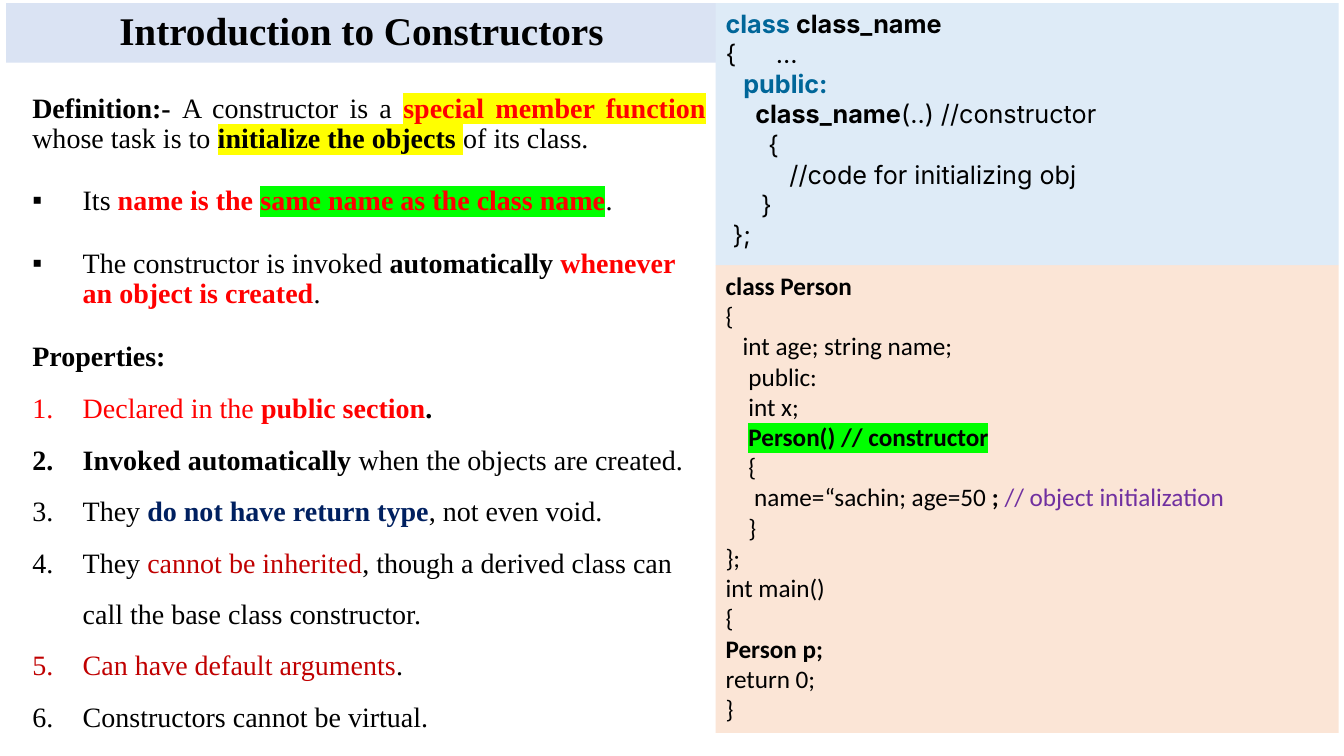
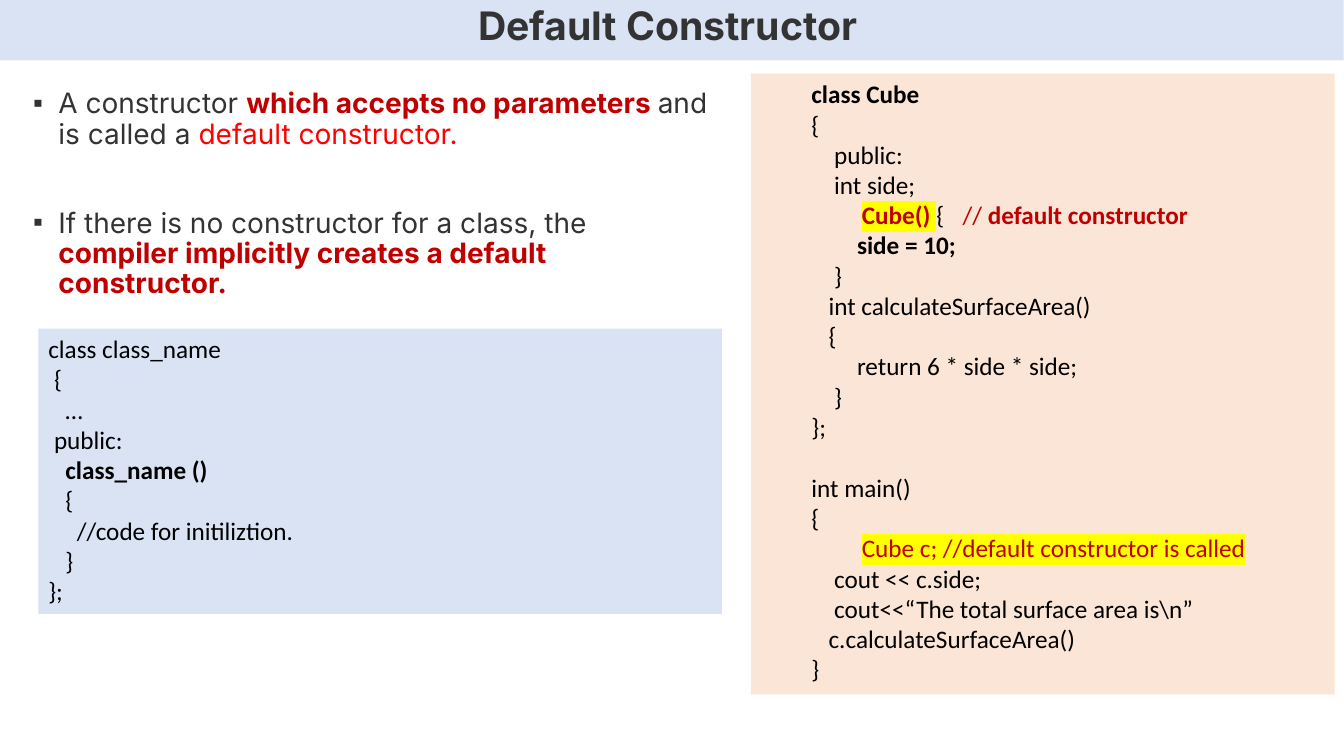
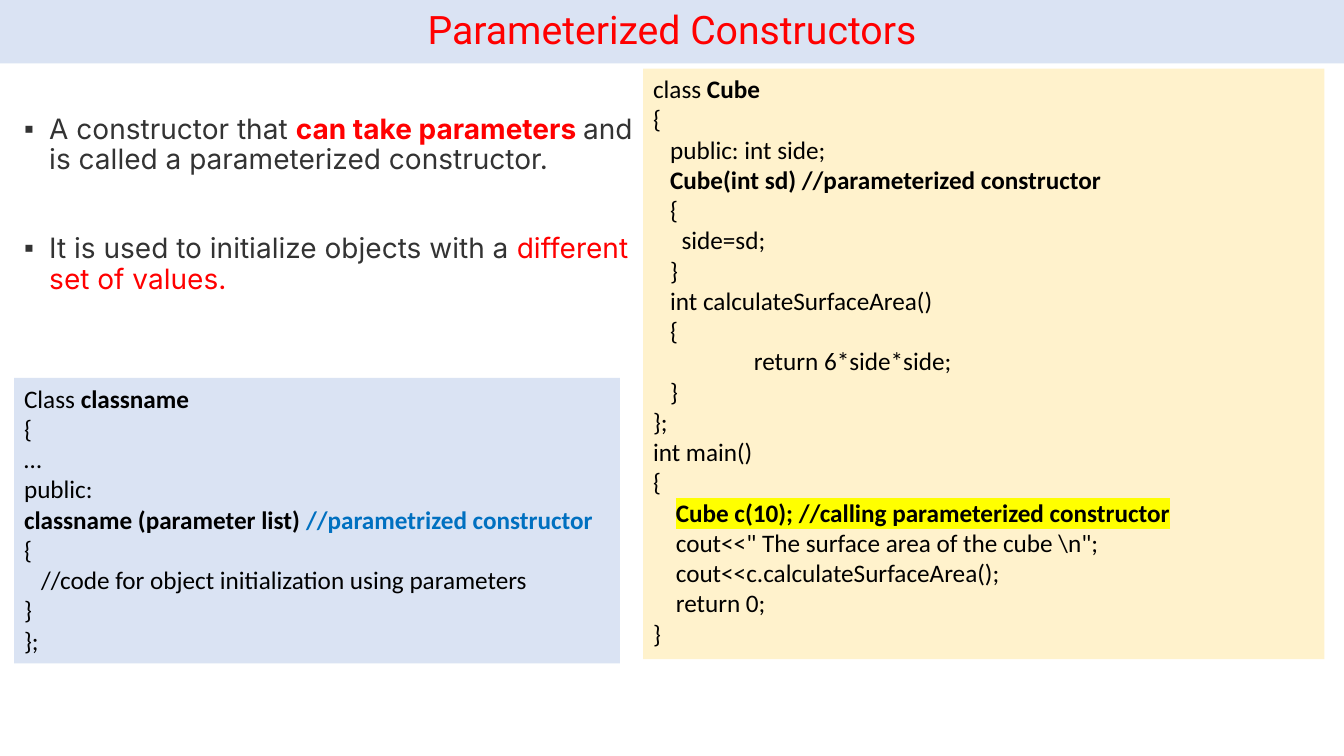
import pptx
import pptx.dml.color
import pptx.enum.shapes
import pptx.enum.text
import pptx.oxml
import pptx.oxml.ns
import pptx.util

Pt = pptx.util.Pt
ALIGN = pptx.enum.text.PP_ALIGN
ANCHOR = pptx.enum.text.MSO_ANCHOR

COLORS = {
    "black": "000000", "ink": "333333", "red": "FF0000", "crimson": "C00000",
    "navy": "002060", "keyword": "006699", "purple": "7030A0", "blue": "0070C0",
    "yellow": "FFFF00", "green": "00FF00", "band": "DAE3F3", "sky": "DEEBF7",
    "peach": "FBE5D6", "cream": "FFF2CC",
}

# Run styles: what differs from the plain text of a block
STYLES = {
    "bold": {"bold": True},
    "red": {"color": "red"},
    "red bold": {"color": "red", "bold": True},
    "red marked": {"color": "red", "bold": True, "mark": "yellow"},
    "red on green": {"color": "red", "bold": True, "mark": "green"},
    "crimson": {"color": "crimson"},
    "crimson bold": {"color": "crimson", "bold": True},
    "crimson marked": {"color": "crimson", "mark": "yellow"},
    "crimson bold marked": {"color": "crimson", "bold": True, "mark": "yellow"},
    "bold marked": {"bold": True, "mark": "yellow"},
    "bold on green": {"bold": True, "mark": "green"},
    "navy bold": {"color": "navy", "bold": True},
    "keyword": {"color": "keyword", "bold": True},
    "purple": {"color": "purple"},
    "blue bold": {"color": "blue", "bold": True},
}

# Paragraph kinds of the explanations
SQUARE, NUMBER = "square", "number"
KINDS = {
    "definition": {"left": 16, "spacing": 0.9, "before": 1, "align": ALIGN.JUSTIFY},
    "trait": {"left": 52, "hang": 36, "spacing": 0.9, "before": 23, "bullet": SQUARE},
    "heading": {"left": 16, "spacing": 0.9, "before": 23},
    "property": {"left": 52, "hang": 36, "spacing": 1.5, "before": 1, "bullet": NUMBER},
    "point": {"left": 18, "hang": 18, "spacing": 0.9, "before": 10, "bullet": SQUARE},
    "next point": {"left": 18, "hang": 18, "spacing": 0.9, "before": 42, "bullet": SQUARE},
}

# Code lines are (indent in spaces, run, run, ...)
CLASS_SYNTAX = [
    (0, ("class ", "keyword"), ("class_name", "bold")),
    (0, "{\t…"),
    (2.5, ("public:", "keyword")),
    (4.2, ("class_name", "bold"), "(..) //constructor"),
    (6, "{"),
    (9, "//code for initializing obj"),
    (5, "}"),
    (1, "};"),
]
PERSON_CODE = [
    (0, ("class Person", "bold")),
    (0, "{"),
    (3, "int age; string name;"),
    (4, "public:"),
    (4, "int x;"),
    (4, ("Person() // constructor", "bold on green")),
    (4, "{"),
    (5, "name=“sachin; age=50 ", ("; ", "bold"), ("// object initialization", "purple")),
    (4, "}"),
    (0, "};"),
    (0, "int main()"),
    (0, "{"),
    (0, ("Person p;", "bold")),
    (0, "return 0;"),
    (0, "}"),
]
DEFAULT_SYNTAX = [
    (0, "class class_name"),
    (1, "{"),
    (3, "…"),
    (1, "public:"),
    (3, ("class_name ()", "bold")),
    (3, "{"),
    (5, "//code for initiliztion."),
    (3, "}"),
    (0, "};"),
]
DEFAULT_CUBE = [
    (0, ("class Cube", "bold")),
    (0, "{"),
    (4, "public:"),
    (4, "int side;"),
    (0, ("\tCube() ", "crimson bold marked"), "{\t", ("// ", "crimson"),
     ("default constructor", "crimson bold")),
    (8, ("side = 10;", "bold")),
    (4, "}"),
    (3, "int calculateSurfaceArea()"),
    (3, "{"),
    (8, "return 6 * side * side;"),
    (4, "}"),
    (0, "};"),
    (0, "int main()"),
    (0, "{"),
    (0, ("\tCube c; //default constructor is called", "crimson marked")),
    (4, "cout << c.side;"),
    (4, "cout<<“The total surface area is\\n”"),
    (3, "c.calculateSurfaceArea()"),
    (0, "}"),
]
PARAMETER_SYNTAX = [
    (0, "Class ", ("classname", "bold")),
    (0, "{"),
    (0, "…"),
    (0, "public:"),
    (0, ("classname (parameter list) ", "bold"), ("//parametrized constructor", "blue bold")),
    (0, "{"),
    (3, "//code for object initialization using parameters"),
    (0, "}"),
    (0, "};"),
]
PARAMETER_CUBE = [
    (0, "class ", ("Cube", "bold")),
    (0, "{"),
    (3, "public: int side;"),
    (3, ("Cube(int sd) //parameterized constructor", "bold")),
    (3, "{"),
    (5, "side=sd;"),
    (3, "}"),
    (3, "int calculateSurfaceArea()"),
    (3, "{"),
    (17.7, "return 6*side*side;"),
    (3, "}"),
    (0, "};"),
    (0, "int main()"),
    (0, "{"),
    (4, ("Cube c(10); //calling parameterized constructor", "bold marked")),
    (4, "cout<<\" The surface area of the cube \\n\";"),
    (4, "cout<<c.calculateSurfaceArea();"),
    (4, "return 0;"),
    (0, "}"),
]

SLIDES = [
    {
        "title": "Introduction to Constructors",
        "title_box": (4.3, 2.2, 507.6, 42.5),
        "title_font": {"font": "Times New Roman", "color": "black", "bold": True},
        "body_box": (0, 38.2, 511.2, 499.7),
        "body_font": {"font": "Times New Roman", "color": "black"},
        "body_top": 29,
        "body": [
            ("definition", ("Definition:- ", "bold"), "A constructor is a ",
             ("special member function", "red marked"), " whose task is to ",
             ("initialize the objects ", "bold marked"), "of its class."),
            ("trait", "Its ", ("name is the ", "red bold"),
             ("same name as the class name", "red on green"), "."),
            ("trait", "The constructor is invoked ", ("automatically ", "bold"),
             ("whenever an object is created", "red bold"), "."),
            ("heading", ("Properties:", "bold")),
            ("property", ("Declared in the ", "red"), ("public section", "red bold"),
             (".", "bold")),
            ("property", ("Invoked automatically ", "bold"), "when the objects are created."),
            ("property", "They ", ("do not have return type", "navy bold"), ", not even void."),
            ("property", "They ", ("cannot be inherited", "crimson"),
             ", though a derived class can call the base class constructor."),
            ("property", ("Can have default arguments", "crimson"), "."),
            ("property", "Constructors cannot be virtual."),
        ],
        "code": [
            {"box": (511.2, 189.4, 445, 334.1), "fill": "peach", "lines": PERSON_CODE},
            {"box": (511.2, 2.2, 445, 187.2), "fill": "sky", "lines": CLASS_SYNTAX,
             "font": "Inter", "tabs": [17]},
        ],
    },
    {
        "title": "Default Constructor",
        "title_box": (-5.8, -2.9, 965.5, 46.1),
        "title_font": {"font": "Inter", "color": "ink", "bold": True},
        "body_box": (16.6, 60.5, 498.2, 159.8),
        "body_font": {"font": "Inter", "color": "ink"},
        "body": [
            ("point", "A constructor ", ("which accepts no parameters ", "crimson bold"),
             "and is called a ", ("default constructor.", "red")),
            ("next point", "If there is no constructor for a class, the ",
             ("compiler implicitly creates a default constructor.", "crimson bold")),
        ],
        "code": [
            {"box": (536.4, 52.6, 416.9, 443.5), "fill": "peach", "lines": DEFAULT_CUBE,
             "inset": 43.2, "tabs": [16.3, 87], "gap_before": "int main()"},
            {"box": (27.4, 234.7, 488.2, 203.8), "fill": "band", "lines": DEFAULT_SYNTAX},
        ],
    },
    {
        "title": "Parameterized Constructors",
        "title_box": (0, 0, 960, 45.4),
        "title_font": {"font": "Roboto", "color": "red"},
        "body_box": (10.1, 45.4, 450, 185),
        "body_font": {"font": "Inter", "color": "ink"},
        "body_top": 37,
        "body": [
            ("point", "A constructor that ", ("can take parameters ", "red bold"),
             "and is called a parameterized constructor."),
            ("next point", "It is used to initialize objects with a ",
             ("different set of values.", "red")),
        ],
        "code": [
            {"box": (10.1, 270, 432.7, 203.8), "fill": "band", "lines": PARAMETER_SYNTAX},
            {"box": (459.4, 49, 486.7, 421.9), "fill": "cream", "lines": PARAMETER_CUBE},
        ],
    },
]

TITLE_SIZE, BODY_SIZE, CODE_SIZE = 28, 20, 18
SPACE_WIDTH = {"Calibri": 4.07, "Inter": 5.07}
BLANK_LINE = 22
INSET_X, INSET_Y = 7.2, 3.6


def element(tag, **attributes):
    made = pptx.oxml.parse_xml(f"<a:{tag} {pptx.oxml.ns.nsdecls('a')}/>")
    for name, value in attributes.items():
        made.set(name, str(value))
    return made


def add_run(paragraph, text, look):
    run = paragraph.add_run()
    run.text = text
    values = {"size": Pt(look["size"]), "bold": look.get("bold", False), "name": look["font"]}
    for name, value in values.items():
        setattr(run.font, name, value)
    run.font.color.rgb = pptx.dml.color.RGBColor.from_string(COLORS[look["color"]])
    if "mark" in look:
        highlight = element("highlight")
        highlight.append(element("srgbClr", val=COLORS[look["mark"]]))
        run.font._element.find(pptx.oxml.ns.qn("a:latin")).addprevious(highlight)


def format_paragraph(paragraph, layout):
    values = {"alignment": layout.get("align", ALIGN.LEFT),
              "line_spacing": layout.get("spacing", 1.0),
              "space_before": Pt(layout.get("before", 0))}
    for name, value in values.items():
        setattr(paragraph, name, value)
    properties = paragraph._p.get_or_add_pPr()
    properties.set("marL", str(int(Pt(layout.get("left", 0)))))
    properties.set("indent", str(-int(Pt(layout.get("hang", 0)))))
    bullet = layout.get("bullet")
    if bullet == SQUARE:
        properties.append(element("buFont", typeface="Arial"))
        properties.append(element("buChar", char="▪"))
    elif bullet == NUMBER:
        properties.append(element("buAutoNum", type="arabicPeriod"))
    else:
        properties.append(element("buNone"))
    if layout.get("tabs"):
        stops = element("tabLst")
        for stop in layout["tabs"]:
            stops.append(element("tab", pos=int(Pt(stop)), algn="l"))
        properties.append(stops)


def write(shape, paragraphs, base, anchor=ANCHOR.TOP, left=INSET_X, top=INSET_Y):
    """Fill a shape with (layout, runs) paragraphs."""
    frame = shape.text_frame
    values = {"word_wrap": True, "vertical_anchor": anchor,
              "margin_left": Pt(left), "margin_right": Pt(INSET_X),
              "margin_top": Pt(top), "margin_bottom": Pt(INSET_Y)}
    for name, value in values.items():
        setattr(frame, name, value)
    for index, (layout, runs) in enumerate(paragraphs):
        paragraph = frame.add_paragraph() if index else frame.paragraphs[0]
        format_paragraph(paragraph, layout)
        for run in runs:
            text, style = (run, None) if isinstance(run, str) else run
            add_run(paragraph, text, {**base, **STYLES.get(style, {})})


def add_panel(slide, box, fill):
    panel = slide.shapes.add_shape(
        pptx.enum.shapes.MSO_SHAPE.RECTANGLE, *map(Pt, box))
    panel.shadow.inherit = False
    panel.fill.solid()
    panel.fill.fore_color.rgb = pptx.dml.color.RGBColor.from_string(COLORS[fill])
    panel.line.fill.background()
    return panel


def add_title(slide, content):
    band = add_panel(slide, content["title_box"], "band")
    write(band, [({"align": ALIGN.CENTER, "spacing": 0.9}, [content["title"]])],
          {"size": TITLE_SIZE, **content["title_font"]}, anchor=ANCHOR.MIDDLE)


def add_body(slide, content):
    body = slide.shapes.add_textbox(*map(Pt, content["body_box"]))
    write(body, [(KINDS[kind], runs) for kind, *runs in content["body"]],
          {"size": BODY_SIZE, **content["body_font"]}, top=content.get("body_top", INSET_Y))


def add_code(slide, block):
    font = block.get("font", "Calibri")
    paragraphs = []
    for spaces, *runs in block["lines"]:
        layout = {"left": spaces * SPACE_WIDTH[font], "tabs": block.get("tabs")}
        if runs[0] == block.get("gap_before"):
            layout["before"] = BLANK_LINE
        paragraphs.append((layout, runs))
    write(add_panel(slide, block["box"], block["fill"]), paragraphs,
          {"size": CODE_SIZE, "font": font, "color": "black"},
          left=block.get("inset", INSET_X))


# Build the slides
deck = pptx.Presentation()
deck.slide_width, deck.slide_height = Pt(960), Pt(540)
for content in SLIDES:
    slide = deck.slides.add_slide(deck.slide_layouts[6])
    add_title(slide, content)
    add_body(slide, content)
    for block in content["code"]:
        add_code(slide, block)
deck.save("out.pptx")
